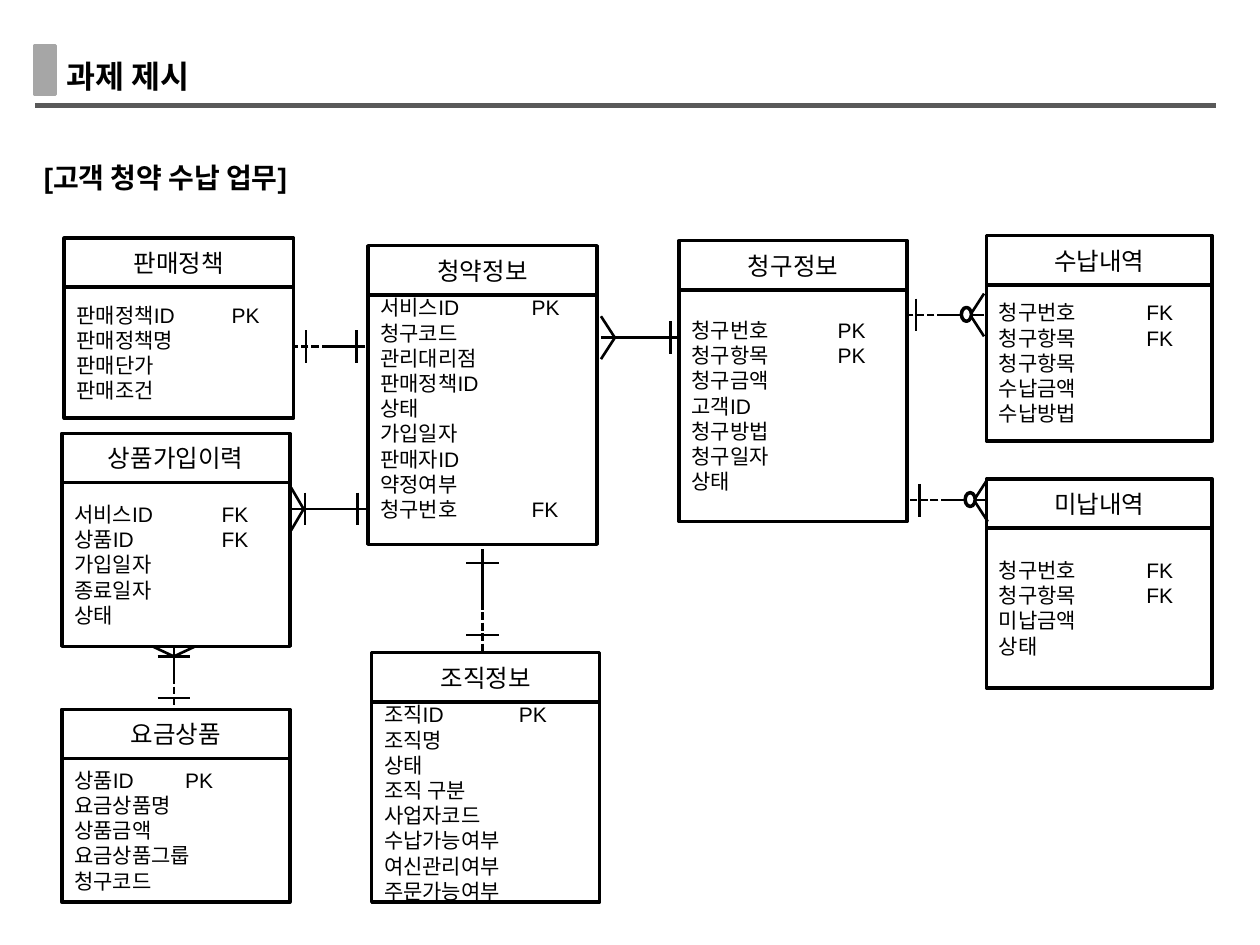
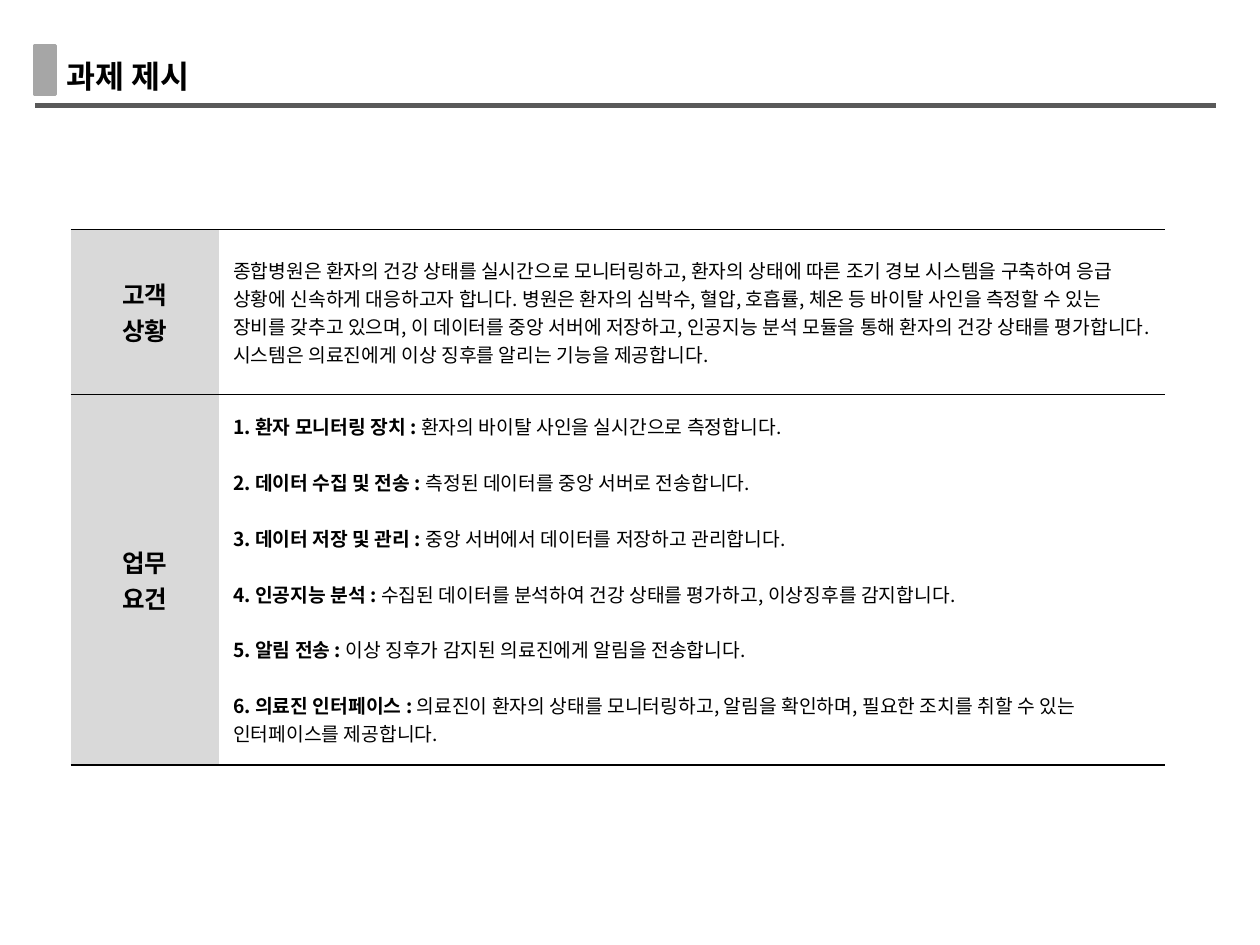
from lxml import etree
from pptx import Presentation
from pptx.dml.color import RGBColor
from pptx.enum.dml import MSO_LINE
from pptx.enum.shapes import MSO_CONNECTOR, MSO_SHAPE
from pptx.enum.text import MSO_ANCHOR, MSO_AUTO_SIZE, PP_ALIGN
from pptx.oxml.ns import qn
from pptx.util import Inches, Pt

BLACK = RGBColor(0x00, 0x00, 0x00)
WHITE = RGBColor(0xFF, 0xFF, 0xFF)
RULE_GREY = RGBColor(0x59, 0x59, 0x59)
MARK_GREY = RGBColor(0xA6, 0xA6, 0xA6)
LABEL_GREY = RGBColor(0xD9, 0xD9, 0xD9)
KOREAN, LATIN = "Noto Sans CJK KR", "Arial"
RECTANGLE, OVAL = MSO_SHAPE.RECTANGLE, MSO_SHAPE.OVAL
STRAIGHT, DASH = MSO_CONNECTOR.STRAIGHT, MSO_LINE.SQUARE_DOT
TOP, MIDDLE = MSO_ANCHOR.TOP, MSO_ANCHOR.MIDDLE
LEFT, CENTER = PP_ALIGN.LEFT, PP_ALIGN.CENTER
GROW = MSO_AUTO_SIZE.SHAPE_TO_FIT_TEXT

HEADER_HEIGHT = 0.39
CROWDED_ROWS = 8
BAR_HALF, FOOT_HALF = 0.13, 0.17

# left, top, width, body height, name, key column, fields
ENTITIES = [
    (0.51, 1.89, 1.82, 1.04, "판매정책", 1.23,
     ["판매정책ID\tPK", "판매정책명", "판매단가", "판매조건"]),
    (0.49, 3.44, 1.81, 1.3, "상품가입이력", 1.17,
     ["서비스ID\tFK", "상품ID\tFK", "가입일자", "종료일자", "상태"]),
    (0.49, 5.63, 1.81, 1.14, "요금상품", 0.88,
     ["상품ID\tPK", "요금상품명", "상품금액", "요금상품그룹", "청구코드"]),
    (2.92, 1.95, 1.82, 1.98, "청약정보", 1.2,
     ["서비스ID\tPK", "청구코드", "관리대리점", "판매정책ID", "상태",
      "가입일자", "판매자ID", "약정여부", "청구번호\tFK"]),
    (2.95, 5.18, 1.81, 1.59, "조직정보", 1.07,
     ["조직ID\tPK", "조직명", "상태", "조직 구분", "사업자코드",
      "수납가능여부", "여신관리여부", "주문가능여부"]),
    (5.39, 1.91, 1.81, 1.84, "청구정보", 1.16,
     ["청구번호\tPK", "청구항목\tPK", "청구금액", "고객ID", "청구방법",
      "청구일자", "상태"]),
    (7.83, 1.87, 1.79, 1.24, "수납내역", 1.17,
     ["청구번호\tFK", "청구항목\tFK", "청구항목", "수납금액", "수납방법"]),
    (7.83, 3.8, 1.79, 1.27, "미납내역", 1.17,
     ["청구번호\tFK", "청구항목\tFK", "미납금액", "상태"]),
]

# solid end, far end, bar positions, then options
RELATIONS = [
    ((2.9, 2.75), (2.33, 2.75), [2.43, 2.83], {}),
    ((2.31, 4.04), (2.92, 4.04), [2.42, 2.84], {"foot": 2.41, "dashed": False}),
    ((1.38, 5.13), (1.38, 5.6), [5.21, 5.54], {"foot": 5.21}),
    ((3.83, 4.36), (3.83, 5.19), [4.47, 5.04], {}),
    ((4.77, 2.68), (5.39, 2.68), [5.32], {"foot": 4.88, "dashed": False}),
    ((7.81, 2.5), (7.19, 2.5), [7.27], {"foot": 7.7, "ring": 7.67}),
    ((7.84, 3.97), (7.22, 3.97), [7.3], {"foot": 7.73, "ring": 7.7}),
]

SITUATION = (
    "종합병원은 환자의 건강 상태를 실시간으로 모니터링하고, 환자의 상태에 따른 조기 경보 시스템을 "
    "구축하여 응급 상황에 신속하게 대응하고자 합니다. 병원은 환자의 심박수, 혈압, 호흡률, 체온 등 "
    "바이탈 사인을 측정할 수 있는 장비를 갖추고 있으며, 이 데이터를 중앙 서버에 저장하고, 인공지능 "
    "분석 모듈을 통해 환자의 건강 상태를 평가합니다. 시스템은 의료진에게 이상 징후를 알리는 기능을 "
    "제공합니다.")
REQUIREMENTS = [
    ("환자 모니터링 장치", "환자의 바이탈 사인을 실시간으로 측정합니다."),
    ("데이터 수집 및 전송", "측정된 데이터를 중앙 서버로 전송합니다."),
    ("데이터 저장 및 관리", "중앙 서버에서 데이터를 저장하고 관리합니다."),
    ("인공지능 분석", "수집된 데이터를 분석하여 건강 상태를 평가하고, 이상징후를 감지합니다."),
    ("알림 전송", "이상 징후가 감지된 의료진에게 알림을 전송합니다."),
    ("의료진 인터페이스", "의료진이 환자의 상태를 모니터링하고, 알림을 확인하며, "
     "필요한 조치를 취할 수 있는 인터페이스를 제공합니다."),
]


class Board:
    def __init__(self, deck):
        self.deck = deck
        self.page = None

    def add_page(self, title):
        self.page = self.deck.slides.add_slide(self.deck.slide_layouts[6])
        self.text(0.43, 0.4, 1.3, 0.4, title, 18, KOREAN, wrap=False)
        self.line(0.28, 0.84, 9.65, 0.84, 3, RULE_GREY)
        self.box(0.28, 0.36, 0.16, 0.39, fill=MARK_GREY, color=MARK_GREY)

    def style(self, span, size, font=KOREAN, bold=False):
        span.font.size = Pt(size)
        span.font.bold = bold
        span.font.name = font
        span.font.color.rgb = BLACK
        east_asian = etree.SubElement(span._r.get_or_add_rPr(), qn("a:ea"))
        east_asian.set("typeface", KOREAN)

    def fill_text(self, frame, lines, size, font=KOREAN, bold=False, align=LEFT):
        frame.text = "\n".join(lines)
        for para in frame.paragraphs:
            para.alignment = align
            for span in para.runs:
                self.style(span, size, font, bold)

    def text(self, left, top, width, height, words, size, font,
             wrap=True, spacing=1.0):
        box = self.page.shapes.add_textbox(
            Inches(left), Inches(top), Inches(width), Inches(height))
        frame = box.text_frame
        frame.word_wrap = wrap
        frame.auto_size = GROW
        self.fill_text(frame, [words], size, font, bold=True)
        frame.paragraphs[0].line_spacing = spacing

    def line(self, x1, y1, x2, y2, width=1.5, color=BLACK, dashed=False):
        line = self.page.shapes.add_connector(
            STRAIGHT, Inches(x1), Inches(y1), Inches(x2), Inches(y2))
        line.line.width = Pt(width)
        line.line.color.rgb = color
        if dashed:
            line.line.dash_style = DASH
        etree.SubElement(line._element.spPr, qn("a:effectLst"))

    def box(self, left, top, width, height, fill=None, color=BLACK, kind=RECTANGLE):
        box = self.page.shapes.add_shape(
            kind, Inches(left), Inches(top), Inches(width), Inches(height))
        box.shadow.inherit = False
        if fill is None:
            box.fill.background()
        else:
            box.fill.solid()
            box.fill.fore_color.rgb = fill
        box.line.color.rgb = color
        box.line.width = Pt(2)
        box.text_frame.vertical_anchor = MIDDLE
        return box

    def entity(self, left, top, width, body_height, name, key_column, fields):
        body = self.box(left, top + HEADER_HEIGHT, width, body_height)
        frame = body.text_frame
        self.fill_text(frame, fields, 12, LATIN)
        if len(fields) >= CROWDED_ROWS:
            frame.vertical_anchor = TOP
            frame.margin_top = 0
        for para in frame.paragraphs:
            if "\t" in para.text:
                stops = etree.SubElement(para._p.get_or_add_pPr(), qn("a:tabLst"))
                etree.SubElement(stops, qn("a:tab"),
                                 pos=str(Inches(key_column)), algn="l")
        header = self.box(left, top, width, HEADER_HEIGHT)
        self.fill_text(header.text_frame, [name], 14, align=CENTER)

    def relation(self, start, end, bars, foot=None, ring=None, dashed=True):
        """Draw a link with cross bars; the crow's foot opens at start."""
        horizontal = start[1] == end[1]
        middle = [(a + b) / 2 for a, b in zip(start, end)]
        self.line(*start, *middle)
        self.line(*middle, *end, dashed=dashed)
        near, axis = start if horizontal else start[::-1]

        def stroke(along1, across1, along2, across2):
            points = [(along1, axis + across1), (along2, axis + across2)]
            if not horizontal:
                points = [point[::-1] for point in points]
            self.line(*points[0], *points[1])

        for bar in bars:
            stroke(bar, -BAR_HALF, bar, BAR_HALF)
        if foot is not None:
            for side in (-FOOT_HALF, FOOT_HALF):
                stroke(near, side, foot, 0)
        if ring is not None:
            self.box(ring - 0.04, axis - 0.06, 0.08, 0.11, fill=WHITE, kind=OVAL)

    def table(self, left, top, columns, rows):
        grid = self.page.shapes.add_table(
            len(rows), len(columns), Inches(left), Inches(top),
            Inches(sum(columns)), Inches(sum(rows))).table
        grid.first_row = grid.horz_banding = False
        for column, width in zip(grid.columns, columns):
            column.width = Inches(width)
        for row, height in zip(grid.rows, rows):
            row.height = Inches(height)
        return grid

    def cell(self, cell, margins, borders, fill=None):
        """Set margins (side, end), top and bottom border widths, and fill."""
        cell.vertical_anchor = MIDDLE
        cell.margin_left = cell.margin_right = Inches(margins[0])
        cell.margin_top = cell.margin_bottom = Inches(margins[1])
        properties = cell._tc.get_or_add_tcPr()
        for side, width in zip("LRTB", (0, 0, *borders)):
            edge = etree.SubElement(properties, qn(f"a:ln{side}"), w=str(Pt(width)))
            if width:
                paint = etree.SubElement(edge, qn("a:solidFill"))
                etree.SubElement(paint, qn("a:srgbClr"), val=str(BLACK))
            else:
                etree.SubElement(edge, qn("a:noFill"))
        if fill is None:
            cell.fill.background()
        else:
            cell.fill.solid()
            cell.fill.fore_color.rgb = fill


def draw_data_model(board):
    board.add_page("과제 제시")
    board.text(0.25, 1.09, 9.37, 0.5, "[고객 청약 수납 업무]", 16, LATIN, spacing=1.5)
    for entity in ENTITIES:
        board.entity(*entity)
    for start, end, bars, options in RELATIONS:
        board.relation(start, end, bars, **options)


def draw_case(board):
    board.add_page("과제 제시")
    grid = board.table(0.56, 1.82, [1.18, 7.51], [1.31, 2.94])
    labels = [["고객", "상황"], ["업무", "요건"]]
    for row, borders in enumerate([(1, 0.5), (0.5, 1)]):
        label, content = grid.cell(row, 0), grid.cell(row, 1)
        board.cell(label, (0.07, 0.04), borders, LABEL_GREY)
        board.cell(content, (0.11, 0.11), borders)
        board.fill_text(label.text_frame, labels[row], 14, bold=True, align=CENTER)

    board.fill_text(grid.cell(0, 1).text_frame, [SITUATION], 11)
    frame = grid.cell(1, 1).text_frame
    heads = [f"{number}. {name} : "
             for number, (name, _) in enumerate(REQUIREMENTS, 1)]
    board.fill_text(frame, heads, 11, bold=True)
    for index, (para, (_, detail)) in enumerate(zip(frame.paragraphs, REQUIREMENTS)):
        para.space_before = Pt(16 if index else 0)
        span = para.add_run()
        span.text = detail
        board.style(span, 11)


def main():
    deck = Presentation()
    deck.slide_width, deck.slide_height = Inches(10), Inches(7.5)
    board = Board(deck)
    draw_data_model(board)
    draw_case(board)
    deck.save("out.pptx")


if __name__ == "__main__":
    main()
